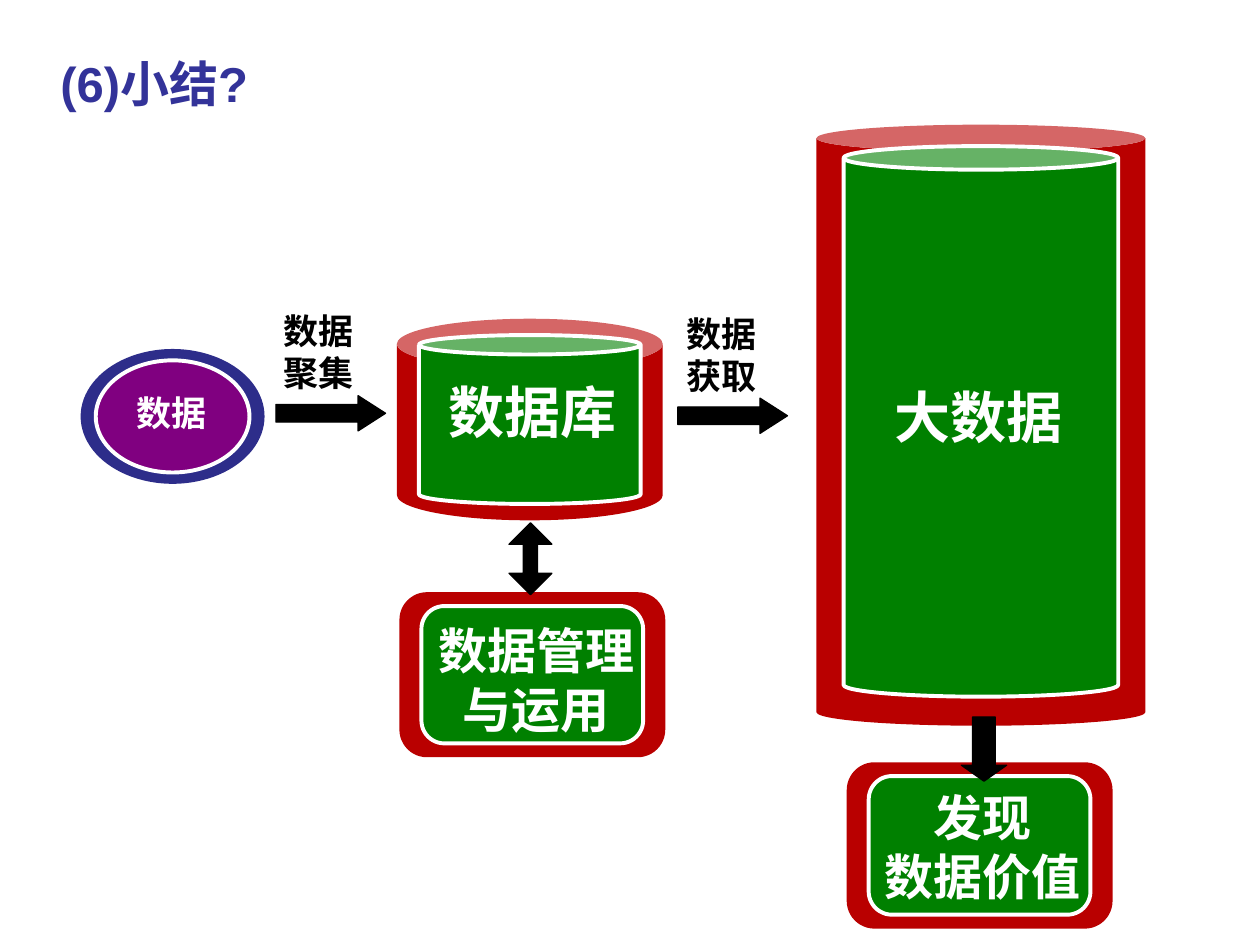
from pptx import Presentation
from pptx.dml.color import RGBColor as RGB
from pptx.enum.shapes import MSO_SHAPE as S
from pptx.enum.text import MSO_ANCHOR as VA, PP_ALIGN as PA
from pptx.util import Inches, Pt
from lxml.etree import SubElement

THEME = {
    "title": "333399", "red": "B90000", "green": "008000", "navy": "2D2D8A",
    "purple": "800080", "white": "FFFFFF", "black": "000000",
    "latin": "Arial", "cjk": "Noto Sans CJK SC",
    "small": 20, "head": 28, "large": 32, "outline": 2.25, "hairline": 0.75,
}

prs = Presentation()
prs.slide_width, prs.slide_height = Inches(10), Inches(7.5)
COL, ROW = prs.slide_width / 100, prs.slide_height / 75
s = prs.slides.add_slide(prs.slide_layouts[5])


def add_shape(kind, box, adj=(), fill=None, line=None, weight="outline"):
    x, y, w, h = box
    sp = s.shapes.add_shape(kind, int(x * COL), int(y * ROW), int(w * COL), int(h * ROW))
    sp.shadow.inherit = False
    for i, value in enumerate(adj):
        sp.adjustments[i] = value
    for part, color in ((sp.fill, fill), (sp.line.fill, line)):
        if color:
            part.solid()
            part.fore_color.rgb = RGB.from_string(THEME[color])
        else:
            part.background()
    if line:
        sp.line.width = Pt(THEME[weight])
    return sp


def write(sp, lines, size, color, font="latin", align=PA.CENTER, anchor=VA.MIDDLE, wrap=True):
    tf = sp.text_frame
    frame = {"word_wrap": wrap, "vertical_anchor": anchor,
             "margin_left": Inches(0.1), "margin_right": Inches(0.1),
             "margin_top": Inches(0.05), "margin_bottom": Inches(0.05)}
    for name, value in frame.items():
        setattr(tf, name, value)
    for i, line in enumerate(lines):
        p = tf.add_paragraph() if i else tf.paragraphs[0]
        p.alignment = align
        r = p.add_run()
        r.text = line
        for name, value in {"size": Pt(THEME[size]), "bold": True, "name": THEME[font]}.items():
            setattr(r.font, name, value)
        r.font.color.rgb = RGB.from_string(THEME[color])
        rpr = r.font._element if hasattr(r.font, "_element") else r._r.get_or_add_rPr()
        ea = SubElement(rpr, "{http://schemas.openxmlformats.org/drawingml/2006/main}ea")
        ea.set("typeface", THEME["cjk"])
        rpr.find("{*}latin").addnext(ea)


title = s.shapes.title
for name, value in {"left": 3.8 * COL, "top": 2.8 * ROW, "width": 19.8 * COL, "height": 6.6 * ROW}.items():
    setattr(title, name, int(value))
write(title, ["(6)小结?"], "head", "title", align=PA.LEFT, wrap=False)
title.text_frame.paragraphs[0].line_spacing = 1.2

NODES = [
    (S.ROUNDED_RECTANGLE, (31.7, 47, 21.1, 13.1), (1.75, 1.1, 1.1), (0.167, 0.167), "red", "green",
     S.ROUNDED_RECTANGLE, (31.1, 48.2, 22.9, 11.5), (0.167,), ["数据管理 与运用"], "head", "cjk"),
    (S.CAN, (31.5, 25.3, 21.1, 16), (1.75, 1.3, 1.3), (0.25, 0.115), "red", "green",
     S.CAN, (31.5, 28.4, 21.6, 7.9), (0.133,), ["数据库"], "large", "latin"),
    (S.OVAL, (6.4, 27.7, 14.6, 10.7), (1.2, 0.9, 0.9), (), "navy", "purple",
     S.RECTANGLE, (7.6, 30.5, 12, 4.4), (), ["数据"], "small", "cjk"),
    (S.CAN, (64.8, 9.9, 26.1, 47.7), (2.15, 1.7, 2.3), (0.082, 0.086), "red", "green",
     S.CAN, (69, 27.3, 17.4, 10.2), (0.25,), ["大数据"], "large", "latin"),
    (S.ROUNDED_RECTANGLE, (67.2, 60.5, 21.1, 13.2), (1.75, 1.1, 1.1), (0.167, 0.167), "red", "green",
     S.ROUNDED_RECTANGLE, (66.6, 61.4, 22.8, 11.5), (0.167,), ["发现", "数据价值"], "head", "cjk"),
]
for kind, box, (side, top, bottom), adj, rim, core, label, label_box, label_adj, lines, size, font in NODES:
    x, y, w, h = box
    inner = (x + side, y + top, w - 2 * side, h - top - bottom)
    add_shape(kind, box, adj[:1], rim)
    add_shape(kind, inner, adj[1:], core, "white")
    write(add_shape(label, label_box, label_adj), lines, size, "white", font)

ARROWS = [
    (S.RIGHT_ARROW, (21.9, 31.4, 8.7, 2.8), 0.778),
    (S.RIGHT_ARROW, (53.8, 31.6, 8.7, 2.8), 0.778),
    (S.UP_DOWN_ARROW, (40.4, 41.5, 3.4, 5.7), 0.332),
    (S.DOWN_ARROW, (76.3, 56.9, 3.6, 5.1), 0.352),
]
for kind, box, head in ARROWS:
    add_shape(kind, box, (0.5, head), "black", "black", "hairline")

for x, y, text in ((21.5, 24.1, "数据聚集"), (53.5, 24.3, "数据获取")):
    tb = s.shapes.add_textbox(int(x * COL), int(y * ROW), int(9 * COL), int(7.7 * ROW))
    write(tb, [text], "small", "black", align=PA.LEFT, anchor=VA.TOP)

prs.save("out.pptx")
